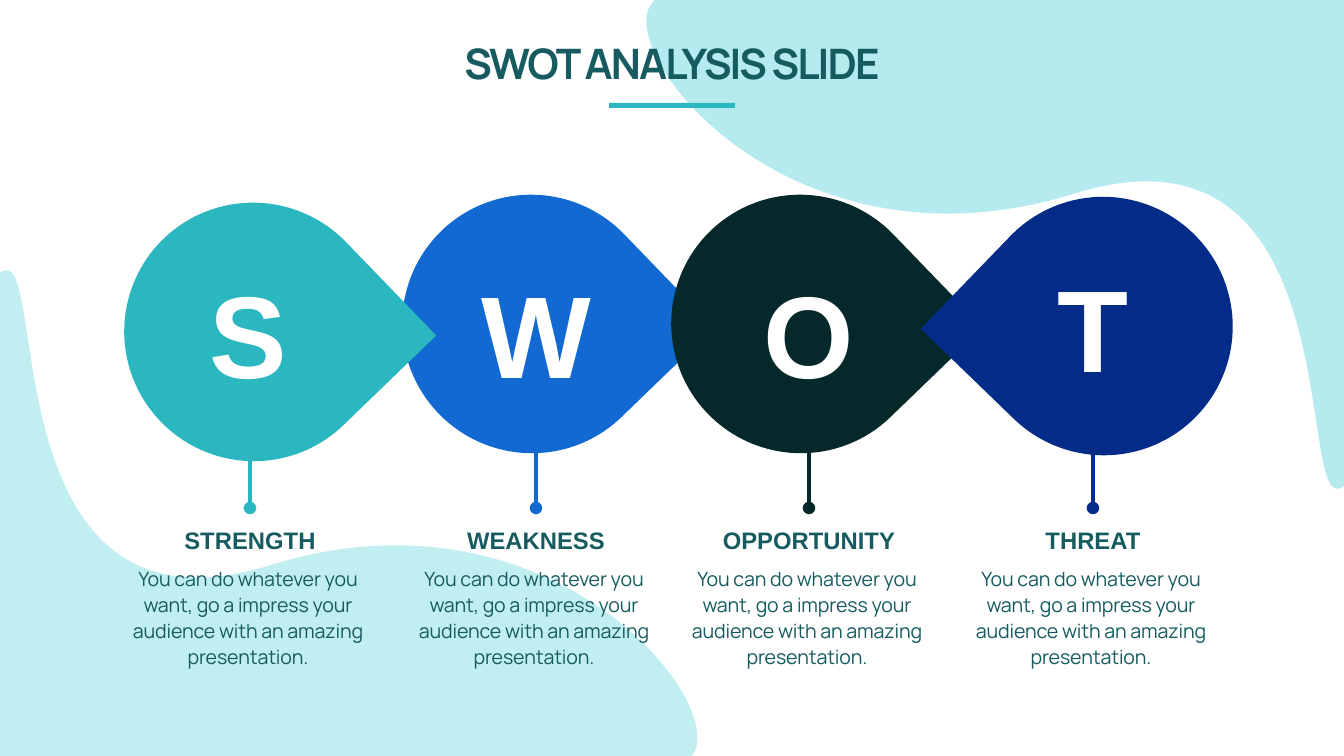
from lxml import etree
from pptx import Presentation
from pptx.dml.color import RGBColor
from pptx.enum.shapes import MSO_CONNECTOR, MSO_SHAPE
from pptx.enum.text import MSO_ANCHOR, MSO_AUTO_SIZE, PP_ALIGN
from pptx.oxml.ns import qn
from pptx.util import Pt

PX = 914400 / 100.8
WIDE, HIGH = 1344, 756
DROP, RECT = MSO_SHAPE.TEAR, MSO_SHAPE.RECTANGLE
LINE = MSO_CONNECTOR.STRAIGHT
TOP, MID = MSO_ANCHOR.TOP, MSO_ANCHOR.MIDDLE
CENTER = PP_ALIGN.CENTER
FIXED = MSO_AUTO_SIZE.NONE

COLORS = {
    "teal": "2AB7BF", "blue": "1169D1", "dark": "05292A", "navy": "022C88",
    "wave": "77DBE1", "ink": "155B60", "white": "FFFFFF",
}
BODY = ("You can do whatever you want, go a impress your "
        "audience with an amazing presentation.")

# Letter, its centre and top, label, colour, column centre, drop place, turn
PARTS = [
    ("S", 248, 257, "STRENGTH", "teal", 250, (124, 203), 46),
    ("W", 536, 257, "WEAKNESS", "blue", 536, (402, 195), 46),
    ("O", 809, 257, "OPPORTUNITY", "dark", 809, (671, 195), 46),
    ("T", 1093, 250, "THREAT", "navy", 1093, (974, 197), 224),
]
# The weakness drop lies behind its neighbours
STACK = [PARTS[i] for i in (1, 0, 2, 3)]

# Corner wave: its frame, then path steps with their points
FRAME = [(1344, 0), (1344, 489), (646, 489), (646, 0)]
WAVE = [
    ("moveTo", [(1344, 0)]),
    ("lnTo", [(1344, 486)]),
    ("cubicBezTo", [(1292, 528), (1360, 104), (1073, 194)]),
    ("cubicBezTo", [(786, 283), (604, 43), (655, 0)]),
    ("close", []),
]


def emu(*sizes):
    return [round(size * PX) for size in sizes]


def color(name):
    return RGBColor.from_string(COLORS[name])


def paint(shape, name):
    shape.shadow.inherit = False
    shape.fill.solid()
    shape.fill.fore_color.rgb = color(name)
    shape.line.fill.background()


def add_wave(slide, turned, alpha):
    def place(point):
        x, y = point
        return (WIDE - x, HIGH + 3 - y) if turned else point

    corners = [place(point) for point in FRAME]
    form = slide.shapes.build_freeform(*corners[0], scale=PX)
    form.add_line_segments(corners[1:], close=True)
    wave = form.convert_to_shape()
    paint(wave, "wave")
    tint = wave.fill._xPr.find(".//" + qn("a:srgbClr"))
    etree.SubElement(tint, qn("a:alpha"), val=str(alpha * 1000))

    # Trade the frame's straight edges for the curved outline
    left, top = map(min, zip(*corners))
    route = wave._element.find(".//" + qn("a:path"))
    for edge in list(route):
        route.remove(edge)
    for kind, points in WAVE:
        step = etree.SubElement(route, qn("a:" + kind))
        for x, y in map(place, points):
            etree.SubElement(step, qn("a:pt"), x=str(x - left), y=str(y - top))


def add_shape(slide, kind, name, box, turn=0):
    shape = slide.shapes.add_shape(kind, *emu(*box))
    paint(shape, name)
    shape.rotation = turn


def add_stem(slide, name, x, top, end):
    stem = slide.shapes.add_connector(LINE, *emu(x, top, x, end))
    stem.line.color.rgb = color(name)
    stem.line.width = Pt(3)
    etree.SubElement(stem.line._get_or_add_ln(), qn("a:tailEnd"), type="oval")
    etree.SubElement(stem._element.spPr, qn("a:effectLst"))


def set_text(shape, text, font, size, name, bold=True, anchor=MID,
             wrap=False, track=0):
    frame = shape.text_frame
    frame.text = text
    frame.auto_size = FIXED
    frame.word_wrap = wrap
    frame.vertical_anchor = anchor
    para = frame.paragraphs[0]
    para.alignment = CENTER
    run = para.runs[0]
    run.font.name = font
    run.font.size = Pt(size)
    run.font.bold = bold
    run.font.color.rgb = color(name)
    if track:
        run.font._element.set("spc", str(track))
    return frame


def add_box(slide, x, top, width, height):
    return slide.shapes.add_textbox(*emu(x - width / 2, top, width, height))


def add_body(slide, x):
    box = add_box(slide, x - 2, 559, 260, 119)
    frame = set_text(box, BODY, "Manrope", 14, "ink", False, TOP, True, -10)
    frame.margin_left, frame.margin_right = emu(12, 12)
    frame.margin_top, frame.margin_bottom = emu(6, 6)
    frame.paragraphs[0].line_spacing = Pt(18.5)


def add_title(slide):
    title = slide.shapes.title
    title.left, title.top, title.width, title.height = emu(448, 32, 448, 61)
    frame = set_text(title, "SWOT ANALYSIS SLIDE", "Manrope", 30, "ink",
                     anchor=TOP, track=-140)
    frame.paragraphs[0].line_spacing = 1.0
    # Bring the title in front of the waves
    title._element.getparent().append(title._element)
    add_shape(slide, RECT, "teal", (609, 103, 126, 5))


def main():
    deck = Presentation()
    deck.slide_width, deck.slide_height = emu(WIDE, HIGH)
    slide = deck.slides.add_slide(deck.slide_layouts[5])

    # Background and title
    add_wave(slide, False, 54)
    add_wave(slide, True, 45)
    add_title(slide)

    # Drops
    for *_, name, _, place, turn in STACK:
        add_shape(slide, DROP, name, (*place, 259, 258), turn)

    # Letters, stems and captions
    for letter, mid, top, label, name, x, _, _ in PARTS:
        set_text(add_box(slide, mid, top, 131, 151), letter, "Arial", 83,
                 "white")
        add_stem(slide, name, x, 431, 508)
        set_text(add_box(slide, x, 520, 195, 39), label, "Arial", 17, "ink")
        add_body(slide, x)

    deck.save("out.pptx")


if __name__ == "__main__":
    main()
